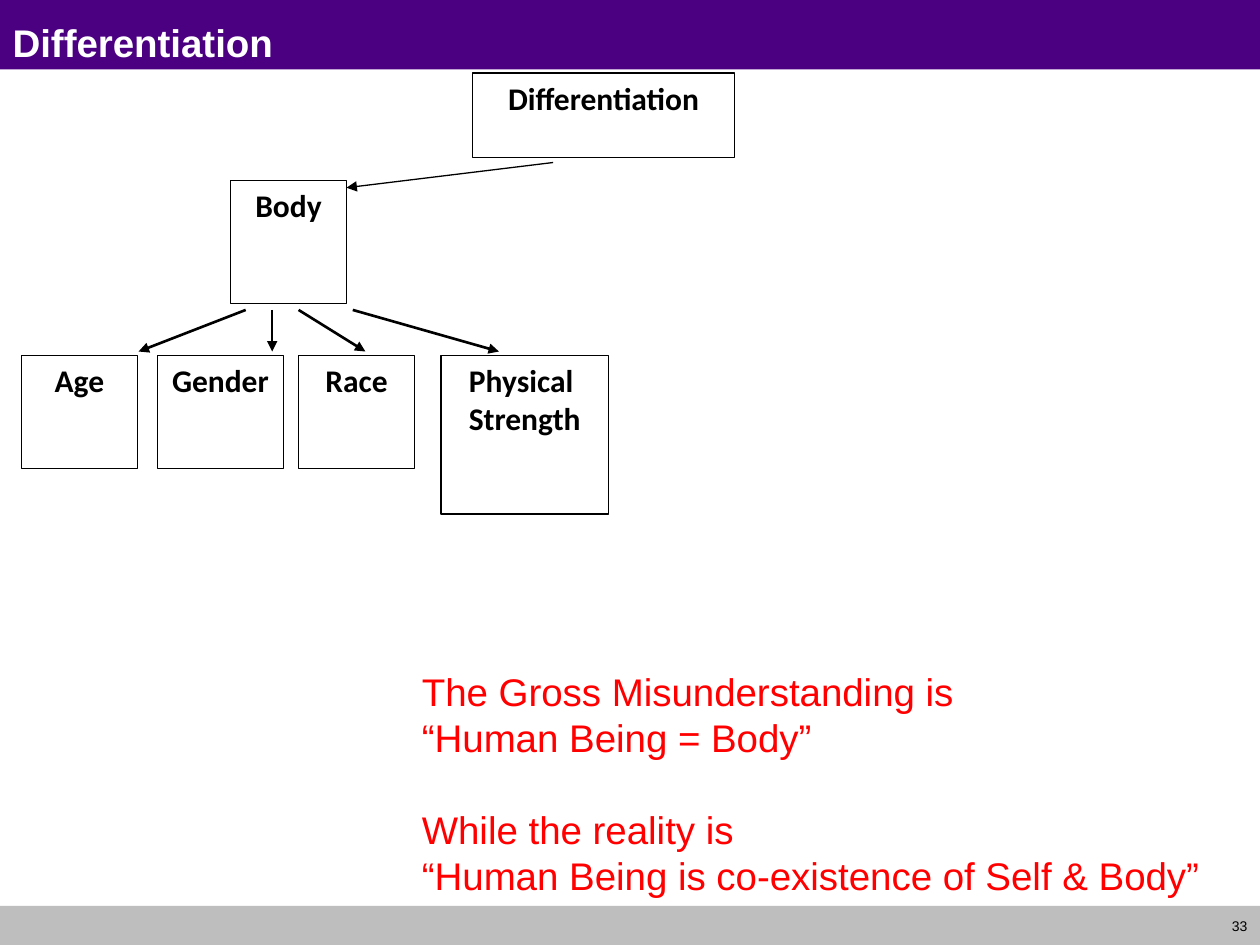
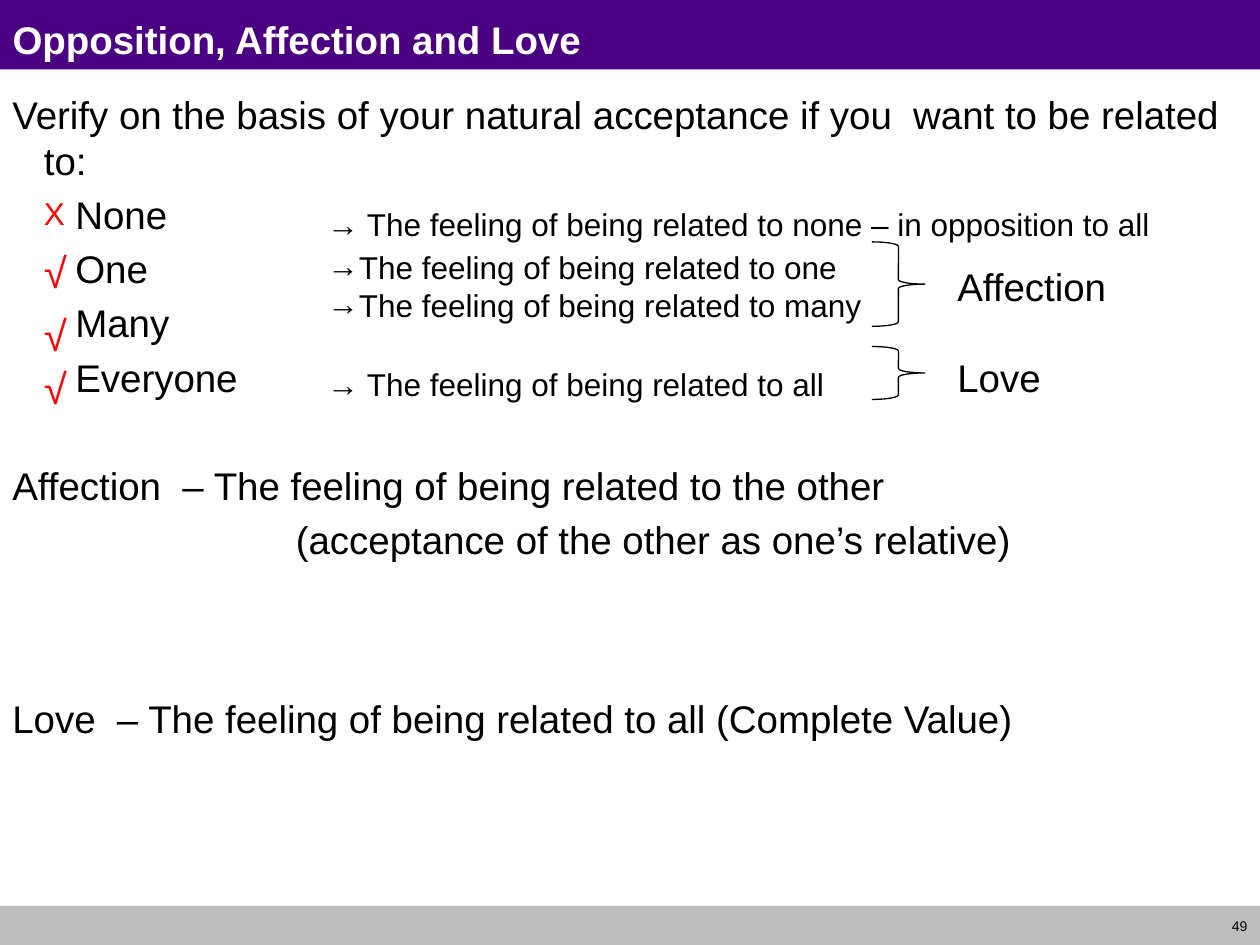
"""Build two slides on differentiation, and on opposition, affection and love."""
import pptx
import pptx.dml.color
import pptx.enum.shapes
import pptx.enum.text
import pptx.oxml
import pptx.oxml.ns
import pptx.util

WIDTH, HEIGHT = 10, 7.5
INDIGO, GREY, WHITE, BLACK, RED = "4B0082", "BEBEBE", "FFFFFF", "000000", "FF0000"
SHAPES = pptx.enum.shapes.MSO_SHAPE
ALIGN = pptx.enum.text.PP_ALIGN
ANCHOR = pptx.enum.text.MSO_ANCHOR

BANDS = [(0, 0.55, INDIGO), (7.19, 0.31, GREY)]
BODY_SIZE = 22
TITLE_FONT = {"size": BODY_SIZE, "bold": True, "color": WHITE}
NODE_FONT = {"name": "Calibri", "size": 18, "bold": True}
SMALL_FONT = {"size": 18}

CHILD_TOP, CHILD_HEIGHT = 2.82, 0.9
TREE_NODES = [
    (["Differentiation"], (3.75, 0.58, 2.08, 0.67)),
    (["Body"], (1.83, 1.43, 0.92, 0.98)),
    (["Age"], (0.17, CHILD_TOP, 0.92, CHILD_HEIGHT)),
    (["Gender"], (1.25, CHILD_TOP, 1, CHILD_HEIGHT)),
    (["Race"], (2.37, CHILD_TOP, 0.92, CHILD_HEIGHT)),
    (["Physical ", "Strength"], (3.5, CHILD_TOP, 1.33, 1.26)),
]
ARROW_TOP, ARROW_BOTTOM = 2.46, 2.79
CHILD_ARROWS = [(1.95, 1.1), (2.16, 2.16), (2.37, 2.9), (2.8, 3.96)]
MISUNDERSTANDING = [
    "The Gross Misunderstanding is",
    "“Human Being = Body”",
    ("While the reality is", {"before": 26.3}),
    "“Human Being is co-existence of Self & Body”",
]

HANGING = {"left": 0.25, "first": -0.25, "before": 4.6}
CHOICE = {"left": 0.5, "before": 4.6}
ARROW_BULLET = {"left": 0.25, "first": -0.25, "bullet": "→"}
DEFINITIONS = [
    ("Verify on the basis of your natural acceptance if you  want to be related to:", HANGING),
    *[(word, CHOICE) for word in ("None", "One", "Many", "Everyone")],
    ("Affection  – The feeling of being related to the other", {**HANGING, "before": 35.4}),
    ("(acceptance of the other as one’s relative)", {"left": 2.25, "before": 4.6}),
    ("Love  – The feeling of being related to all (Complete Value)", {**HANGING, "before": 76}),
]
MARKS = [("X", 1.49, 18), ("√", 1.91, 24), ("√", 2.41, 24), ("√", 2.83, 24)]
FEELINGS = [
    (1.58, 0.4, ["→ The feeling of being related to none – in opposition to all"]),
    (1.92, 0.71, [("The feeling of being related to one", ARROW_BULLET),
                  ("The feeling of being related to many", ARROW_BULLET)]),
    (2.85, 0.4, ["→ The feeling of being related to all"]),
]
BRACES = [("Affection", 1.92, 0.67, 2.04), ("Love", 2.75, 0.42, 2.76)]


def color(value):
    return pptx.dml.color.RGBColor.from_string(value)


def inches(*values):
    return [pptx.util.Inches(value) for value in values]


def set_values(target, values):
    for key, value in values.items():
        setattr(target, key, value)


def write(box, lines, font, align=ALIGN.LEFT, anchor=ANCHOR.TOP):
    frame = box.text_frame
    set_values(frame, {"word_wrap": True, "vertical_anchor": anchor,
                       "auto_size": pptx.enum.text.MSO_AUTO_SIZE.NONE})
    for index, line in enumerate(lines):
        words, layout = (line, {}) if isinstance(line, str) else line
        para = frame.add_paragraph() if index else frame.paragraphs[0]
        set_values(para, {"alignment": align,
                          "space_before": pptx.util.Pt(layout.get("before", 0))})
        properties = para._p.get_or_add_pPr()
        for key, name in (("left", "marL"), ("first", "indent")):
            properties.set(name, str(pptx.util.Inches(layout.get(key, 0))))
        if "bullet" in layout:
            add_xml(properties, "buFont", typeface="Arial")
            add_xml(properties, "buChar", char=layout["bullet"])
        span = para.add_run()
        span.text = words
        set_values(span.font, {"name": font.get("name", "Arial"),
                               "size": pptx.util.Pt(font["size"]),
                               "bold": font.get("bold", False)})
        span.font.color.rgb = color(font.get("color", BLACK))


def add_xml(parent, tag, **attributes):
    child = pptx.oxml.parse_xml(f"<a:{tag} {pptx.oxml.ns.nsdecls('a')}/>")
    for name, value in attributes.items():
        child.set(name, value)
    parent.append(child)


def add_text(page, place, lines, font, **options):
    write(page.shapes.add_textbox(*inches(*place)), lines, font, **options)


def add_shape(page, kind, place, fill=None, line=None):
    shape = page.shapes.add_shape(kind, *inches(*place))
    shape.shadow.inherit = False
    if fill:
        shape.fill.solid()
        shape.fill.fore_color.rgb = color(fill)
    else:
        shape.fill.background()
    if line:
        shape.line.color.rgb = color(line)
        shape.line.width = pptx.util.Pt(0.75)
    else:
        shape.line.fill.background()
    return shape


def add_arrow(page, ends, width):
    arrow = page.shapes.add_connector(
        pptx.enum.shapes.MSO_CONNECTOR.STRAIGHT, *inches(*ends))
    arrow.line.color.rgb = color(BLACK)
    arrow.line.width = pptx.util.Pt(width)
    add_xml(arrow.line._get_or_add_ln(), "tailEnd", type="triangle")
    add_xml(arrow._element.spPr, "effectLst")


def add_bands(page):
    tree = page.slide_layout.shapes._spTree
    for index, (top, height, fill) in enumerate(BANDS):
        band = add_shape(page, SHAPES.RECTANGLE, (0, top, WIDTH, height), fill)
        tree.insert(2 + index, band._element)


def add_page(deck, title, number, title_top):
    page = deck.slides.add_slide(deck.slide_layouts[5])
    heading = page.shapes.title
    set_values(heading, dict(zip(("left", "top", "width", "height"),
                                 inches(0, title_top, WIDTH, 0.42))))
    write(heading, [title], TITLE_FONT)
    add_text(page, (9.4, 7.19, 0.6, 0.32), [number], {"size": 8},
             align=ALIGN.RIGHT, anchor=ANCHOR.MIDDLE)
    return page


def draw_differentiation(page):
    add_arrow(page, (4.39, 1.29, 2.75, 1.49), 0.75)
    for start, end in CHILD_ARROWS:
        add_arrow(page, (start, ARROW_TOP, end, ARROW_BOTTOM), 1.5)
    for lines, place in TREE_NODES:
        node = add_shape(page, SHAPES.RECTANGLE, place, WHITE, BLACK)
        write(node, lines, NODE_FONT, align=ALIGN.CENTER)
    add_text(page, (3.25, 5.25, 6.6, 1.95), MISUNDERSTANDING,
             {"size": BODY_SIZE, "color": RED})


def draw_affection(page):
    add_text(page, (0, 0.67, WIDTH, 6.5), DEFINITIONS, {"size": BODY_SIZE})
    for label, top, height, label_top in BRACES:
        add_shape(page, SHAPES.RIGHT_BRACE, (6.92, top, 0.42, height), line=BLACK)
        add_text(page, (7.5, label_top, 2, 0.47), [label], {"size": BODY_SIZE})
    for mark, top, size in MARKS:
        add_text(page, (0.25, top, 0.58, 0.51), [mark], {"size": size, "color": RED})
    for top, height, lines in FEELINGS:
        add_text(page, (2.5, top, 7.5, height), lines, SMALL_FONT)


def main():
    deck = pptx.Presentation()
    deck.slide_width, deck.slide_height = inches(WIDTH, HEIGHT)
    tree_page = add_page(deck, "Differentiation", "33", 0.1)
    add_bands(tree_page)
    draw_differentiation(tree_page)
    draw_affection(add_page(deck, "Opposition, Affection and Love", "49", 0.08))
    deck.save("out.pptx")


if __name__ == "__main__":
    main()
